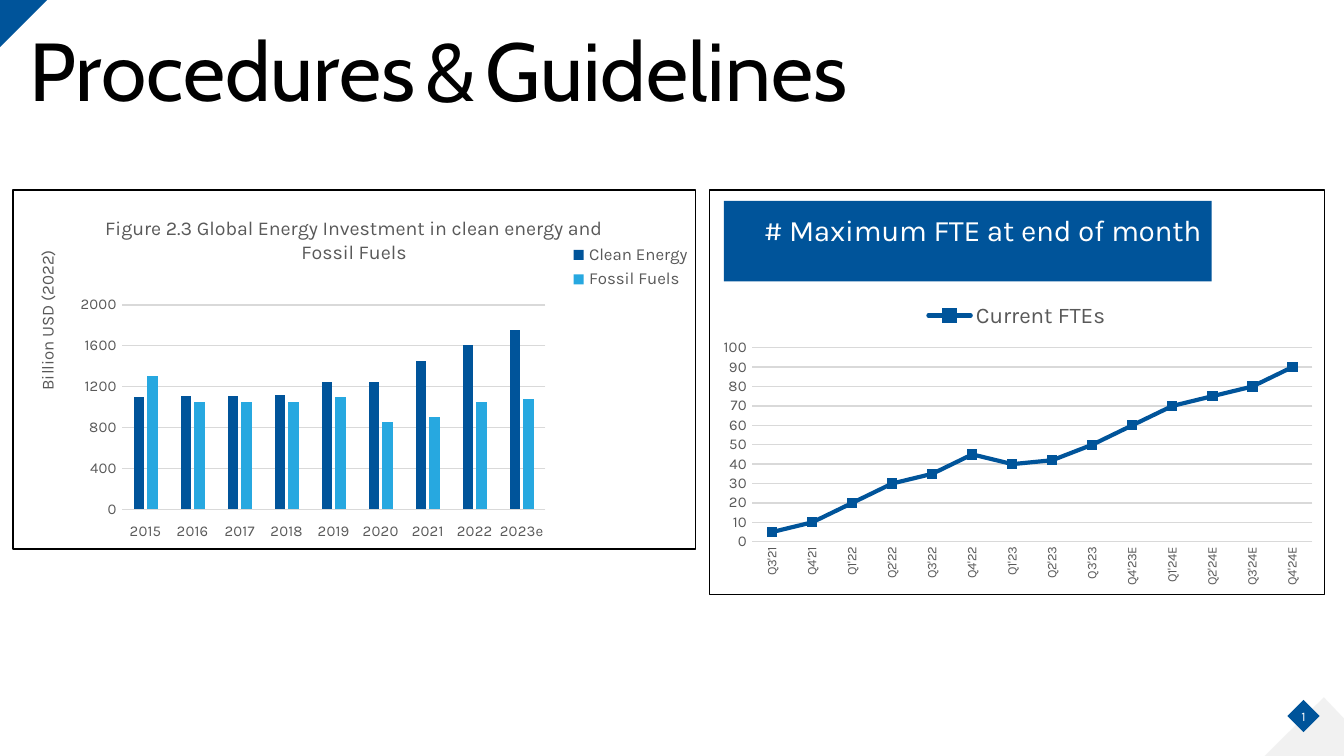
from lxml.etree import SubElement
from pptx import Presentation
from pptx.chart.data import CategoryChartData
from pptx.dml.color import RGBColor
from pptx.enum.chart import XL_CHART_TYPE, XL_LEGEND_POSITION, XL_TICK_LABEL_POSITION, XL_TICK_MARK
from pptx.enum.shapes import MSO_SHAPE
from pptx.enum.text import MSO_ANCHOR, PP_ALIGN
from pptx.oxml import parse_xml
from pptx.oxml.ns import nsdecls, qn
from pptx.util import Cm, Pt

NAVY = RGBColor(0x00, 0x54, 0x9A)
SKY = RGBColor(0x27, 0xA8, 0xE0)
GREY = RGBColor(0x59, 0x59, 0x59)
RULE = RGBColor(0xD9, 0xD9, 0xD9)
PALE = RGBColor(0xE5, 0xE5, 0xE5)
BLACK = RGBColor(0, 0, 0)
WHITE = RGBColor(0xFF, 0xFF, 0xFF)

YEARS = [str(year) for year in range(2015, 2023)] + ["2023e"]
ENERGY = {
    "Clean Energy": [1100, 1110, 1110, 1120, 1250, 1250, 1450, 1610, 1750],
    "Fossil Fuels": [1300, 1050, 1050, 1050, 1100, 850, 900, 1050, 1080],
}
QUARTERS = ["Q3'21", "Q4'21", "Q1'22", "Q2'22", "Q3'22", "Q4'22", "Q1'23",
            "Q2'23", "Q3'23", "Q4'23E", "Q1'24E", "Q2'24E", "Q3'24E", "Q4'24E"]
STAFF = {"Current FTEs": [5, 10, 20, 30, 35, 45, 40, 42, 50, 60, 70, 75, 80, 90]}


def style_font(font, size, color, name="Karla"):
    """Set the plain look of a font."""
    font.size, font.name, font.bold = Pt(size), name, False
    font.color.rgb = color


def add_span(para, text, size, color, name="Karla"):
    """Append one styled run."""
    span = para.add_run()
    span.text = text
    style_font(span.font, size, color, name)


def paint(shape, color):
    """Give a shape a flat fill without line or shadow."""
    shape.shadow.inherit = False
    shape.fill.solid()
    shape.fill.fore_color.rgb = color
    shape.line.fill.background()
    return shape


def add_text_box(slide, box):
    """Add a text box without margins and return its frame."""
    frame = slide.shapes.add_textbox(*map(Cm, box)).text_frame
    frame.margin_left = frame.margin_right = frame.margin_top = frame.margin_bottom = 0
    return frame


def add_heading(slide, box):
    """Write the slide heading with narrow word gaps."""
    frame = add_text_box(slide, box)
    frame.word_wrap = True
    para = frame.paragraphs[0]
    para.line_spacing = 0.9
    for text in ("Procedures", " ", "&", " ", "Guidelines"):
        add_span(para, text, 24 if text == " " else 44, BLACK, "Cabin")


def add_corner(slide, box):
    """Draw the triangle in the top left corner."""
    paint(slide.shapes.add_shape(MSO_SHAPE.RIGHT_TRIANGLE, *map(Cm, box)), NAVY).rotation = 90


def add_page_mark(slide, box):
    """Draw the pale peak and the diamond with the page number."""
    left, top, width, height = box
    right, bottom = left + width, top + height
    outline = slide.shapes.build_freeform(Cm(left + 1.12), Cm(top))
    outline.add_line_segments([(Cm(right), Cm(top + 0.4)), (Cm(right), Cm(bottom)),
                               (Cm(left), Cm(bottom))])
    peak = paint(outline.convert_to_shape(), PALE)
    color = peak.fill._xPr.find(qn("a:solidFill"))[0]
    SubElement(color, qn("a:alpha")).set("val", "50000")
    paint(slide.shapes.add_shape(MSO_SHAPE.DIAMOND, Cm(left + 0.43), Cm(top + 0.05),
                                 Cm(0.61), Cm(0.61)), NAVY)
    frame = add_text_box(slide, (left + 0.54, top + 0.19, 0.39, 0.33))
    frame.word_wrap = False
    frame.vertical_anchor = MSO_ANCHOR.MIDDLE
    frame.paragraphs[0].alignment = PP_ALIGN.CENTER
    add_span(frame.paragraphs[0], "1", 7, WHITE)


def place(part, *spot):
    """Fix a chart part at fractions of the chart: left, top and maybe width, height."""
    for old in part.findall(qn("c:layout")):
        part.remove(old)
    target = '<c:layoutTarget val="inner"/>' if part.tag == qn("c:plotArea") else ""
    modes = '<c:xMode val="edge"/><c:yMode val="edge"/>'
    sizes = "".join(f'<c:{key} val="{value}"/>' for key, value in zip("xywh", spot))
    layout = parse_xml(f'<c:layout {nsdecls("c")}><c:manualLayout>{target}{modes}{sizes}'
                       "</c:manualLayout></c:layout>")
    overlay = part.find(qn("c:overlay"))
    if overlay is None:
        part.insert(0, layout)
    else:
        overlay.addprevious(layout)


def set_rotation(body, degrees):
    """Turn the text of a chart part."""
    body.set("rot", str(degrees * 60000))
    body.set("vert", "horz")


def style_axes(chart, category_size, top, step):
    """Style both axes and the grid lines."""
    category, value = chart.category_axis, chart.value_axis
    for axis, size in ((category, category_size), (value, 8)):
        axis.major_tick_mark = axis.minor_tick_mark = XL_TICK_MARK.NONE
        style_font(axis.tick_labels.font, size, GREY)
    category.has_major_gridlines = False
    value.has_major_gridlines = True
    for line in (category.format.line, value.major_gridlines.format.line):
        line.color.rgb, line.width = RULE, Pt(0.75)
    value.format.line.fill.background()
    value.minimum_scale, value.maximum_scale, value.major_unit = 0, top, step


def add_framed_chart(slide, box, kind, categories, data, title, legend):
    """Add a chart with a black frame, a title and a legend."""
    source = CategoryChartData()
    source.categories = categories
    for name, values in data.items():
        source.add_series(name, values)
    chart = slide.shapes.add_chart(kind, *map(Cm, box), source).chart
    style_font(chart.font, 10, BLACK)
    frame = parse_xml(f'<c:spPr {nsdecls("c", "a")}><a:noFill/><a:ln w="9525"><a:solidFill>'
                      f'<a:srgbClr val="{BLACK}"/></a:solidFill></a:ln></c:spPr>')
    chart._chartSpace.find(qn("c:chart")).addnext(frame)
    text, size, color = title
    chart.has_title = True
    add_span(chart.chart_title.text_frame.paragraphs[0], text, size, color)
    chart.has_legend = True
    chart.legend.position, legend_size = legend
    chart.legend.include_in_layout = False
    style_font(chart.legend.font, legend_size, GREY)
    chart.plots[0].vary_by_categories = False
    return chart


def arrange(chart, title, legend, plot):
    """Place the title, the legend and the plot."""
    for name, spot in (("title", title), ("legend", legend), ("plotArea", plot)):
        place(chart._chartSpace.xpath(f"c:chart/c:{name}")[0], *spot)


def add_energy_chart(slide, box):
    """Add the clustered columns of energy investment."""
    title = ("Figure 2.3 Global Energy Investment in clean energy and Fossil Fuels", 10.5, GREY)
    chart = add_framed_chart(slide, box, XL_CHART_TYPE.COLUMN_CLUSTERED, YEARS, ENERGY,
                             title, (XL_LEGEND_POSITION.RIGHT, 9))
    style_axes(chart, 8, 2000, 400)
    chart.category_axis.tick_label_position = XL_TICK_LABEL_POSITION.LOW
    plot = chart.plots[0]
    plot.gap_width, plot.overlap = 219, -27
    for series, color in zip(plot.series, (NAVY, SKY)):
        series.format.fill.solid()
        series.format.fill.fore_color.rgb = color
    frame = chart.value_axis.axis_title.text_frame
    add_span(frame.paragraphs[0], "Billion USD (2022)", 9, GREY)
    set_rotation(frame._txBody.bodyPr, -90)
    place(chart._chartSpace.xpath("c:chart/c:plotArea/c:valAx/c:title")[0], 0.03, 0.16)
    arrange(chart, (0.13, 0.06), (0.82, 0.14, 0.18, 0.15), (0.16, 0.32, 0.62, 0.57))


def add_staff_chart(slide, box):
    """Add the staff line chart over its title band."""
    left, top, _, _ = box
    band = (left + 0.29, top + 0.22, 9.22, 1.52)
    paint(slide.shapes.add_shape(MSO_SHAPE.RECTANGLE, *map(Cm, band)), NAVY)
    chart = add_framed_chart(slide, box, XL_CHART_TYPE.LINE, QUARTERS, STAFF,
                             ("# Maximum FTE at end of month", 16, WHITE),
                             (XL_LEGEND_POSITION.TOP, 12))
    style_axes(chart, 7, 100, 10)
    set_rotation(chart._chartSpace.xpath("c:chart/c:plotArea/c:catAx/c:txPr/a:bodyPr")[0], -90)
    series = chart.plots[0].series[0]
    series.smooth = False
    series.format.line.color.rgb, series.format.line.width = NAVY, Pt(2.25)
    series.format.line._ln.set("cap", "rnd")
    series.marker.style = None
    arrange(chart, (0.08, 0.04), (0.35, 0.27, 0.3, 0.08), (0.07, 0.39, 0.91, 0.48))


def main():
    """Build and save the slide."""
    deck = Presentation()
    deck.slide_width, deck.slide_height = Cm(25.4), Cm(14.29)
    slide = deck.slides.add_slide(deck.slide_layouts[6])
    add_page_mark(slide, (23.9, 13.18, 1.5, 1.11))
    add_corner(slide, (0, 0, 0.89, 0.89))
    add_heading(slide, (0.56, 0.58, 24.26, 1.73))
    add_energy_chart(slide, (0.23, 3.58, 12.93, 6.81))
    add_staff_chart(slide, (13.39, 3.58, 11.66, 7.67))
    deck.save("out.pptx")


if __name__ == "__main__":
    main()
